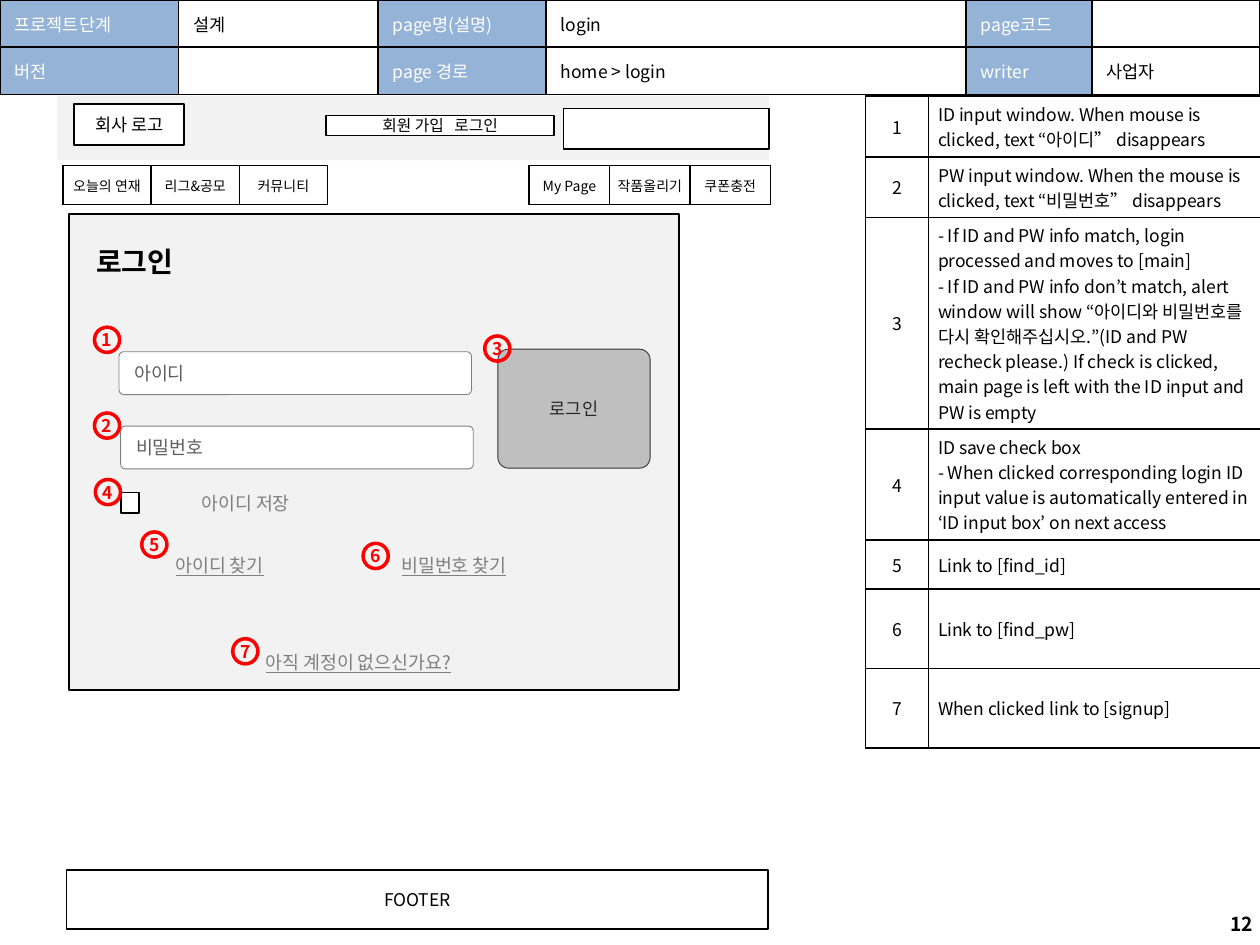
from lxml import etree
from pptx import Presentation
from pptx.dml.color import RGBColor
from pptx.enum.shapes import MSO_SHAPE
from pptx.enum.text import MSO_ANCHOR, PP_ALIGN
from pptx.oxml.ns import qn
from pptx.util import Pt

RECT, ROUND, OVAL = MSO_SHAPE.RECTANGLE, MSO_SHAPE.ROUNDED_RECTANGLE, MSO_SHAPE.OVAL
LEFT, CENTER, RIGHT = PP_ALIGN.LEFT, PP_ALIGN.CENTER, PP_ALIGN.RIGHT
MIDDLE = MSO_ANCHOR.MIDDLE

COLORS = {
    "black": "000000", "white": "FFFFFF", "header": "95B3D7", "panel": "F2F2F2",
    "button": "BFBFBF", "button_line": "333333", "button_text": "262626",
    "gray": "808080", "hint": "5F5F5F", "red": "FF0000",
}
RGB = {name: RGBColor.from_string(value) for name, value in COLORS.items()}
NOTO = "Noto Sans CJK KR"


def write(frame, text, size=10, color="black", align=CENTER, font=NOTO,
          bold=False, underline=False):
    """Fill a frame: a list gives paragraphs, \\n a line break, \\t a wide space."""
    for index, content in enumerate(text if isinstance(text, list) else [text]):
        paragraph = frame.paragraphs[0] if index == 0 else frame.add_paragraph()
        paragraph.alignment = align
        for line_number, line in enumerate(content.split("\n")):
            if line_number:
                paragraph.add_line_break()
            for piece in line.replace("\t", "\t \t").split("\t"):
                run = paragraph.add_run()
                run.text = piece
                run.font.name, run.font.size = font, Pt(size)
                run.font.bold, run.font.underline = bold, underline
                run.font.color.rgb = RGB[color]
                properties = run._r.get_or_add_rPr()
                if piece == " ":
                    properties.set("spc", "400")
                east_asian = etree.SubElement(properties, qn("a:ea"))
                east_asian.set("typeface", NOTO)


def add_grid(left, top, widths, heights, rows, size, margins, aligns, fills):
    """Add a black-ruled table; aligns and fills go by column."""
    table = slide.shapes.add_table(len(heights), len(widths), Pt(left), Pt(top),
                                   Pt(sum(widths)), Pt(sum(heights))).table
    table.first_row = table.horz_banding = False
    for column, width in zip(table.columns, widths):
        column.width = Pt(width)
    for row, height, texts in zip(table.rows, heights, rows):
        row.height = Pt(height)
        for cell, text, align, fill in zip(row.cells, texts, aligns, fills):
            cell.vertical_anchor = MIDDLE
            cell.margin_left = cell.margin_right = Pt(margins[0])
            cell.margin_top = cell.margin_bottom = Pt(margins[1])
            if fill:
                cell.fill.solid()
                cell.fill.fore_color.rgb = RGB[fill]
            else:
                cell.fill.background()
            if text:
                color = "white" if fill == "header" else "black"
                write(cell.text_frame, text, size, color, align)
            else:
                end = cell.text_frame.paragraphs[0]._p.get_or_add_endParaRPr()
                end.set("sz", str(size * 100))
            properties = cell._tc.get_or_add_tcPr()
            for position, side in enumerate(("lnL", "lnR", "lnT", "lnB")):
                border = etree.Element(qn(f"a:{side}"), w=str(Pt(1)))
                solid = etree.SubElement(border, qn("a:solidFill"))
                etree.SubElement(solid, qn("a:srgbClr"), val=COLORS["black"])
                properties.insert(position, border)


presentation = Presentation()
presentation.slide_width, presentation.slide_height = Pt(720), Pt(540)
slide = presentation.slides.add_slide(presentation.slide_layouts[6])

# Page header and description tables
add_grid(0, 0, [102, 114, 96, 240, 72, 96], [27, 27], [
    ["프로젝트단계", "설계", "page명(설명)", "login", "page코드", ""],
    ["버전", "", "page 경로", "home > login", "writer", "사업자"],
], 10, (8.5, 3), [LEFT] * 6, ["header", None] * 3)

descriptions = [
    "ID input window. When mouse is clicked, text “아이디” disappears",
    "PW input window. When the mouse is clicked, text “비밀번호” disappears",
    "- If ID and PW info match, login processed and moves to [main]\n"
    "- If ID and PW info don’t match, alert window will show “아이디와 비밀번호를 "
    "다시 확인해주십시오.”(ID and PW recheck please.) If check is clicked, "
    "main page is left with the ID input and PW is empty",
    ["ID save check box",
     "- When clicked corresponding login ID input value is automatically "
     "entered in ‘ID input box’ on next access"],
    "Link to [find_id]",
    "Link to [find_pw]",
    "When clicked link to [signup]",
]
add_grid(494.5, 55, [36, 191], [34, 34, 121, 63, 28, 45.4, 45.4],
         [[str(number), text] for number, text in enumerate(descriptions, 1)],
         10, (5.5, 2.9), [CENTER, LEFT], [None, None])

# Wireframe boxes: shape, left, top, width, height, fill, line, line width, corner, text, style
field = {"size": 10.5, "color": "hint", "align": LEFT, "font": "Lato"}
boxes = [
    (RECT, 38, 497, 401, 34, "white", "black", 1, None, "FOOTER", {}),
    (RECT, 39.5, 122.5, 348.5, 272, "panel", "black", 1, None, "", {}),
    (ROUND, 68, 201, 201.5, 24.5, "white", "gray", 0.5, 0.11, "아이디", field),
    (ROUND, 69, 243.5, 201.5, 24.5, "white", "gray", 0.5, 0.11, "비밀번호", field),
    (ROUND, 284.5, 199.5, 87, 68, "button", "button_line", 0.5, 0.09, "로그인",
     {"color": "button_text", "font": "Calibri"}),
    (RECT, 32.5, 55, 407, 36.5, "panel", None, 0, None, "", {}),
    (RECT, 42.5, 59.5, 62.5, 23.5, "white", "black", 1, None, "회사 로고", {}),
    (RECT, 322, 62, 117.5, 23, "white", "black", 1, None, "", {}),
    (RECT, 186.5, 66, 130, 11.5, "white", "black", 1, None, "회원 가입\t로그인", {"size": 9}),
    (RECT, 69, 281.5, 10.5, 11.5, "white", "black", 1, None, "", {}),
]
for kind, left, top, width, height, fill, line, weight, corner, text, style in boxes:
    box = slide.shapes.add_shape(kind, Pt(left), Pt(top), Pt(width), Pt(height))
    box.shadow.inherit = False
    box.fill.solid()
    box.fill.fore_color.rgb = RGB[fill]
    if line:
        box.line.color.rgb = RGB[line]
        box.line.width = Pt(weight)
    else:
        box.line.fill.background()
    if corner:
        box.adjustments[0] = corner
    if text:
        box.text_frame.vertical_anchor = MIDDLE
        box.text_frame.margin_left = Pt(8 if style is field else 7.2)
        write(box.text_frame, text, **style)

# Navigation menus
for left, width, menu in [(36, 50.4, ["오늘의 연재", "리그&공모", "커뮤니티"]),
                          (302.4, 46, ["My Page", "작품올리기", "쿠폰충전"])]:
    add_grid(left, 94.5, [width] * 3, [22.5], [menu], 8, (2.9, 3.6),
             [CENTER] * 3, ["white"] * 3)

# Free-standing labels
link = {"size": 10.5, "color": "gray", "underline": True}
labels = [
    (555, 513.5, 168, 28.5, "12", {"size": 11, "align": RIGHT, "bold": True}),
    (49.5, 136, 60, 26.5, "로그인", {"size": 16, "align": LEFT, "bold": True}),
    (209, 317, 101, 11.5, "비밀번호 찾기", link),
    (75, 317, 101, 11.5, "아이디 찾기", link),
    (100, 372.5, 209.5, 11.5, "아직 계정이 없으신가요?", link),
    (90, 281.5, 101, 11.5, "아이디 저장", {"size": 10.5, "color": "gray"}),
]
for left, top, width, height, text, style in labels:
    label = slide.shapes.add_textbox(Pt(left), Pt(top), Pt(width), Pt(height))
    label.text_frame.word_wrap = True
    label.text_frame.vertical_anchor = MIDDLE
    if style["align" if "align" in style else "size"] == LEFT:
        label.text_frame.margin_left = label.text_frame.margin_right = Pt(5.5)
    write(label.text_frame, text, **style)

# Numbered markers that refer to the description table
markers = [(54, 187), (54, 236), (277, 192), (54.5, 274), (81, 304), (207.5, 310.5), (133, 365)]
for number, (left, top) in enumerate(markers, 1):
    marker = slide.shapes.add_shape(OVAL, Pt(left), Pt(top), Pt(14.4), Pt(14.4))
    marker.shadow.inherit = False
    marker.fill.background()
    marker.line.color.rgb = RGB["red"]
    marker.line.width = Pt(2)
    frame = marker.text_frame
    frame.margin_left = frame.margin_right = frame.margin_top = frame.margin_bottom = 0
    frame.word_wrap = False
    frame.vertical_anchor = MIDDLE
    write(frame, str(number), color="red", bold=True)

presentation.save("out.pptx")
